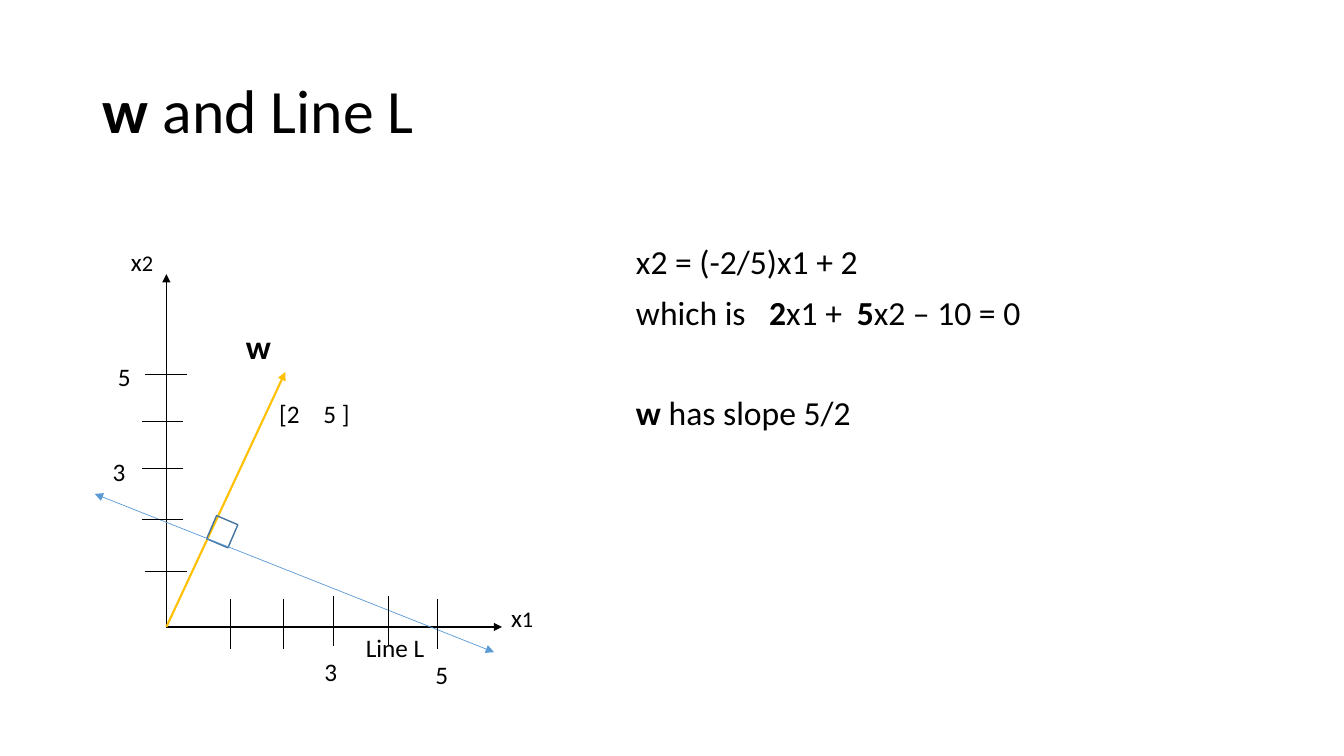
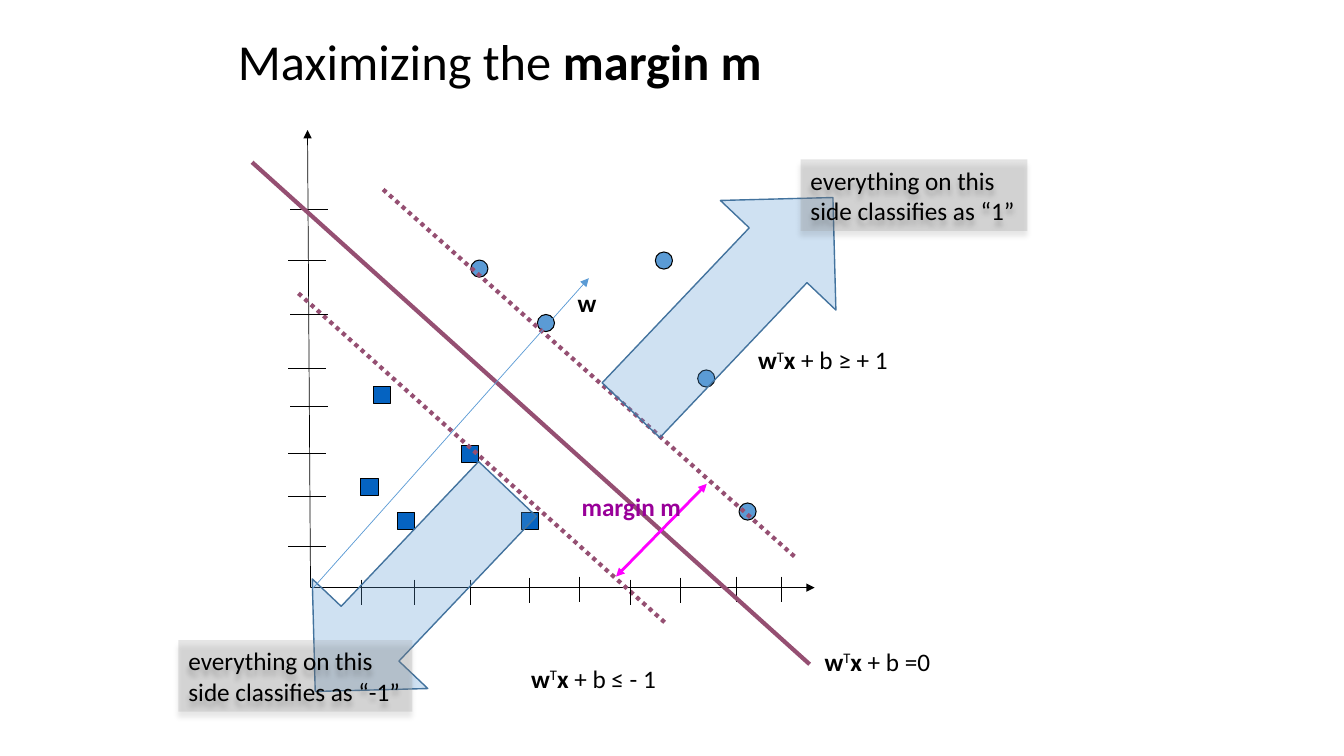
"""Builds two slides on a weight vector, its line and the margin."""
import dataclasses

import pptx
import pptx.dml.color
import pptx.enum.dml
import pptx.enum.shapes
import pptx.enum.text
import pptx.oxml.ns
import pptx.oxml.xmlchemy
import pptx.util

SHAPE = pptx.enum.shapes.MSO_SHAPE
BOLD = {"bold": True}
SUP = {"sup": True}


@dataclasses.dataclass(frozen=True)
class Theme:
    font: str = "Calibri"
    ink: str = "000000"
    gold: str = "FFC000"
    blue: str = "5B9BD5"
    edge: str = "43739E"
    square: str = "0563C1"
    plum: str = "954F72"
    magenta: str = "FF00FF"
    purple: str = "990099"
    gray: str = "9D9D9D"
    title: int = 44
    small_title: int = 36
    body: int = 24
    label: int = 18
    index: int = 16
    hair: float = 0.5
    outline: float = 0.75
    thin: float = 1
    vector: float = 1.5
    margin: float = 2
    bold_line: float = 3


T = Theme()


def px(n):
    return pptx.util.Emu(n * 9144)


def rgb(value):
    return pptx.dml.color.RGBColor.from_string(value)


def add_xml(parent, tag, **attrs):
    el = pptx.oxml.xmlchemy.OxmlElement(tag)
    for name, value in attrs.items():
        el.set(name, str(value))
    parent.append(el)
    return el


class Deck:
    def __init__(self):
        self.prs = pptx.Presentation()
        self.prs.slide_width, self.prs.slide_height = px(1333), px(750)
        self.s = None

    def slide(self, box, runs, size):
        self.s = self.prs.slides.add_slide(self.prs.slide_layouts[5])
        sp = self.s.shapes.title
        sp.left, sp.top, sp.width, sp.height = map(px, box)
        tf = sp.text_frame
        tf.vertical_anchor = pptx.enum.text.MSO_ANCHOR.MIDDLE
        tf.auto_size = pptx.enum.text.MSO_AUTO_SIZE.NONE
        tf.word_wrap = True
        self.paragraph(tf.paragraphs[0], runs, size, T.ink, 0.9)

    def paragraph(self, p, runs, size, color, spacing=None, tabs=()):
        if tabs:
            tab_list = add_xml(p._p.get_or_add_pPr(), "a:tabLst")
            for pos in tabs:
                add_xml(tab_list, "a:tab", pos=int(px(pos)), algn="l")
        p.alignment = pptx.enum.text.PP_ALIGN.LEFT
        if spacing:
            p.line_spacing = spacing
        for run in runs:
            text, style = (run, {}) if isinstance(run, str) else run
            r = p.add_run()
            r.text = text
            r.font.name = T.font
            r.font.size = pptx.util.Pt(style.get("size", size))
            r.font.bold = style.get("bold", False)
            r.font.color.rgb = rgb(color)
            if style.get("sup"):
                r._r.get_or_add_rPr().set("baseline", "30000")

    def fill_text(self, sp, paras, size, color, wrap, tabs=()):
        tf = sp.text_frame
        tf.word_wrap = wrap
        tf.auto_size = pptx.enum.text.MSO_AUTO_SIZE.SHAPE_TO_FIT_TEXT
        for i, runs in enumerate(paras):
            p = tf.add_paragraph() if i else tf.paragraphs[0]
            self.paragraph(p, runs, size, color, tabs=tabs)

    def label(self, x, y, w, *runs, h=40, size=T.label, color=T.ink, wrap=False, tabs=()):
        sp = self.s.shapes.add_textbox(px(x), px(y), px(w), px(h))
        self.fill_text(sp, [runs], size, color, wrap, tabs)

    def body(self, x, y, w, h, paras):
        tf = self.s.shapes.add_textbox(px(x), px(y), px(w), px(h)).text_frame
        tf.word_wrap = True
        for i, (runs, before, tabs) in enumerate(paras):
            p = tf.add_paragraph() if i else tf.paragraphs[0]
            self.paragraph(p, runs, T.body, T.ink, 0.9, tabs)
            if before:
                p.space_before = pptx.util.Pt(before)

    def line(self, start, end, color=T.ink, width=T.hair, head=False, tail=False, dotted=False):
        kind = pptx.enum.shapes.MSO_CONNECTOR.STRAIGHT
        c = self.s.shapes.add_connector(kind, *map(px, (*start, *end)))
        c.line.color.rgb = rgb(color)
        c.line.width = pptx.util.Pt(width)
        if dotted:
            c.line.dash_style = pptx.enum.dml.MSO_LINE.ROUND_DOT
        ln = c.line._get_or_add_ln()
        for tag, wanted in (("a:headEnd", head), ("a:tailEnd", tail)):
            if wanted:
                add_xml(ln, tag, type="triangle")
        add_xml(c._element.spPr, "a:effectLst")

    def ticks(self, starts, dx, dy):
        for x, y in starts:
            self.line((x, y), (x + dx, y + dy))

    def shape(self, kind, x, y, w, h, fill=None, alpha=None, line=None, width=T.thin, rot=0):
        sp = self.s.shapes.add_shape(kind, px(x), px(y), px(w), px(h))
        sp.shadow.inherit = False
        sp.rotation = rot
        if fill:
            sp.fill.solid()
            sp.fill.fore_color.rgb = rgb(fill)
        else:
            sp.fill.background()
        if alpha:
            color = sp._element.spPr.find(pptx.oxml.ns.qn("a:solidFill"))[0]
            add_xml(color, "a:alpha", val=alpha * 1000)
        if line:
            sp.line.color.rgb = rgb(line)
            sp.line.width = pptx.util.Pt(width)
        else:
            sp.line.fill.background()
        return sp

    def points(self, kind, fill, places):
        for x, y in places:
            self.shape(kind, x, y, 17, 17, fill, line=T.ink, width=T.outline)

    def callout(self, x, y, w, alpha, *lines):
        sp = self.shape(SHAPE.RECTANGLE, x, y, w, 71, T.gray, alpha)
        effects = sp._element.spPr.find(pptx.oxml.ns.qn("a:effectLst"))
        offset = int(pptx.util.Pt(4))
        shadow = add_xml(effects, "a:outerShdw", blurRad=offset, dist=offset,
                         dir=90 * 60000, rotWithShape=0)
        add_xml(add_xml(shadow, "a:srgbClr", val=T.ink), "a:alpha", val=36000)
        self.fill_text(sp, [[text] for text in lines], T.label, T.ink, False)

    def formula(self, x, y, w, rest):
        self.label(x, y, w, ("w", BOLD), ("T", SUP), ("x", BOLD), rest)


def line_slide(d):
    d.slide((92, 40, 1150, 145), [("w", BOLD), " and Line L"], T.title)
    d.body(621, 239, 647, 481, [
        (["x2 = (-2/5)x1 + 2"], 0, ()),
        (["which is\t", ("2", BOLD), "x1 +\t", ("5", BOLD), "x2 – 10 = 0"], 10, (132, 219)),
        ([("w", BOLD), " has slope 5/2"], 46, ()),
    ])
    origin = (165, 622)
    for end in ((165, 272), (498, 622)):
        d.line(origin, end, width=T.thin, tail=True)
    for x, y, index in ((497, 593, "1"), (120, 239, "2")):
        d.label(x, y, 42, "x", (index, {"size": T.index}))
    d.line(origin, (283, 369), T.gold, T.vector, tail=True)
    d.label(234, 318, 49, ("w", BOLD), h=50, size=T.body, wrap=True)
    d.shape(SHAPE.RECTANGLE, 209, 515, 23, 25, line=T.edge, rot=23.2)
    d.line((94, 490), (490, 647), T.blue, head=True, tail=True)
    d.ticks([(228, 594), (281, 594), (331, 591), (385, 591), (434, 594)], 0, 50)
    d.ticks([(144, 371), (141, 418), (141, 465), (141, 515), (144, 567)], 41, 0)
    for x, y, w, text in ((312, 646, 74, "3"), (422, 649, 74, "5"), (107, 354, 37, "5"),
                          (102, 448, 74, "3"), (353, 622, 121, "Line L")):
        d.label(x, y, w, text, wrap=True)
    d.label(267, 390, 96, "[2\t5 ]", wrap=True, tabs=(44,))


def margin_slide(d):
    d.slide((226, 24, 899, 79), ["Maximizing the ", ("margin m", BOLD)], T.small_title)
    for end in ((305, 129), (808, 583)):
        d.line((308, 583), end, tail=True)
    d.points(SHAPE.RECTANGLE, T.square,
             [(370, 383), (458, 442), (358, 475), (394, 508), (517, 508)])
    d.points(SHAPE.OVAL, T.blue,
             [(467, 258), (533, 312), (650, 250), (692, 367), (733, 499)])
    for start, end in (((380, 188), (789, 553)), ((296, 291), (661, 619))):
        d.line(start, end, T.plum, T.bold_line, dotted=True)
    d.ticks([(358, 575), (411, 575), (467, 575), (525, 573), (575, 572),
             (625, 575), (675, 573), (730, 572), (775, 572)], 0, 25)
    d.ticks([(288, 208), (286, 258), (288, 312), (286, 365),
             (288, 403), (286, 450), (286, 492), (286, 542)], 37, 0)
    d.formula(742, 337, 152, " + b ≥ + 1")
    d.line((250, 161), (803, 659), T.plum, T.bold_line)
    d.shape(SHAPE.UP_ARROW, 647, 156, 158, 291, T.blue, 29, T.edge, rot=43.5)
    d.callout(794, 158, 225, 27, "everything on this", "side classifies as “1”")
    d.shape(SHAPE.UP_ARROW, 329, 447, 158, 277, T.blue, 29, T.edge, rot=223.5)
    d.line((701, 480), (611, 572), T.magenta, T.margin, head=True, tail=True)
    d.formula(517, 653, 147, " + b ≤ - 1")
    d.formula(808, 636, 127, " + b =0")
    d.line((310, 584), (584, 276), T.blue, tail=True)
    d.label(563, 280, 39, ("w", BOLD))
    d.callout(177, 635, 232, 26, "everything on this", "side classifies as “-1”")
    d.label(567, 483, 120, ("margin m", BOLD), color=T.purple)


def main():
    d = Deck()
    line_slide(d)
    margin_slide(d)
    d.prs.save("out.pptx")


if __name__ == "__main__":
    main()
